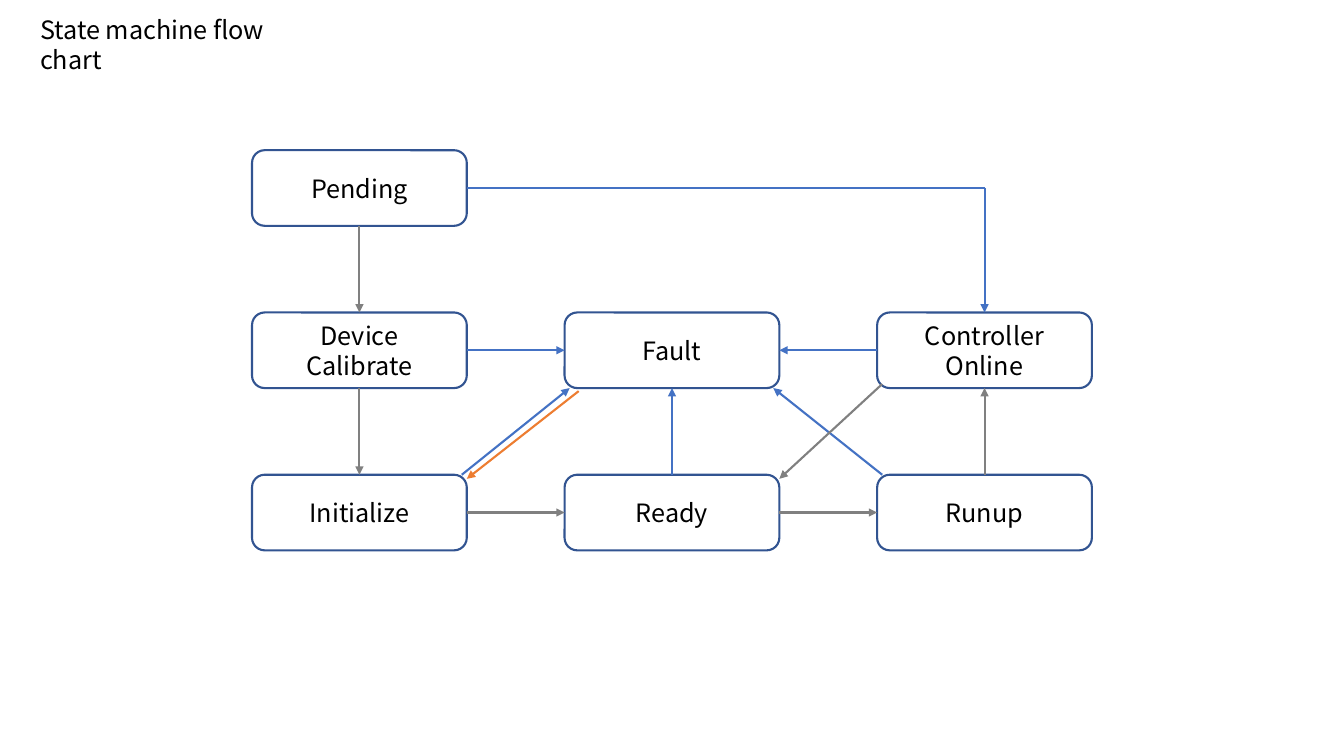
from lxml.etree import SubElement
from pptx import Presentation
from pptx.dml.color import RGBColor
from pptx.enum.shapes import MSO_CONNECTOR, MSO_SHAPE
from pptx.enum.text import MSO_ANCHOR, PP_ALIGN
from pptx.oxml.ns import qn
from pptx.util import Pt

EMU_PER_PX = 9144
STATE_WIDTH, STATE_HEIGHT = 213, 75
TOP, LEFT, BOTTOM, RIGHT = range(4)
BLACK, NAVY, GRAY, BLUE, ORANGE = "000000", "325491", "808080", "4472C4", "ED7D31"
FONT_FORMAT = {"name": "Noto Sans CJK SC", "size": Pt(18)}
TITLE_FORMAT = {"word_wrap": True, "vertical_anchor": MSO_ANCHOR.TOP}
STATE_FORMAT = {"word_wrap": True, "vertical_anchor": MSO_ANCHOR.MIDDLE}

STATES = {
    "Pending": (0, 0),
    "Initialize": (0, 2),
    "Device Calibrate": (0, 1),
    "Ready": (1, 2),
    "Runup": (2, 2),
    "Controller Online": (2, 1),
    "Fault": (1, 1),
}
STRAIGHT_TRANSITIONS = [
    ("Pending", BOTTOM, "Device Calibrate", TOP, GRAY),
    ("Device Calibrate", BOTTOM, "Initialize", TOP, GRAY),
    ("Initialize", RIGHT, "Ready", LEFT, GRAY),
    ("Ready", RIGHT, "Runup", LEFT, GRAY),
    ("Runup", TOP, "Controller Online", BOTTOM, GRAY),
    ("Ready", TOP, "Fault", BOTTOM, BLUE),
    ("Device Calibrate", RIGHT, "Fault", LEFT, BLUE),
    ("Controller Online", LEFT, "Fault", RIGHT, BLUE),
]
CORNER_TRANSITIONS = [
    (("Initialize", RIGHT, TOP, -5, 0), ("Fault", LEFT, BOTTOM, 5, 0), BLUE),
    (("Runup", LEFT, TOP, 5, 0), ("Fault", RIGHT, BOTTOM, -6, 0), BLUE),
    (("Fault", LEFT, BOTTOM, 14, 3), ("Initialize", RIGHT, TOP, 0, 4), ORANGE),
    (("Controller Online", LEFT, BOTTOM, 5, -4), ("Ready", RIGHT, TOP, 0, 4), GRAY),
]


def px(length):
    """Turn pixels into EMU."""
    return round(length * EMU_PER_PX)


def color(hex_code):
    """Turn a hex string into a colour."""
    return RGBColor.from_string(hex_code)


def apply_format(target, values):
    """Set each named attribute of the target."""
    for attribute, value in values.items():
        setattr(target, attribute, value)


def write_text(frame, wording, frame_format, alignment):
    """Fill a text frame with one formatted paragraph."""
    apply_format(frame, frame_format)
    paragraph = frame.paragraphs[0]
    paragraph.alignment = alignment
    run = paragraph.add_run()
    run.text = wording
    apply_format(run.font, FONT_FORMAT)
    run.font.color.rgb = color(BLACK)


def add_title(slide, box):
    """Place the slide title in the given box."""
    title = slide.shapes.add_textbox(*map(px, box))
    write_text(title.text_frame, "State machine flow chart", TITLE_FORMAT, PP_ALIGN.LEFT)


def add_state(slide, label, left, top):
    """Draw one rounded state box."""
    state = slide.shapes.add_shape(
        MSO_SHAPE.ROUNDED_RECTANGLE, px(left), px(top), px(STATE_WIDTH), px(STATE_HEIGHT)
    )
    state.shadow.inherit = False
    state.fill.background()
    state.line.color.rgb = color(NAVY)
    state.line.width = Pt(1.5)
    write_text(state.text_frame, label, STATE_FORMAT, PP_ALIGN.CENTER)
    return state


def add_transition(slide, start, end, hex_code, arrow=True):
    """Draw a line between two points in EMU, with an arrowhead at its end."""
    transition = slide.shapes.add_connector(MSO_CONNECTOR.STRAIGHT, *start, *end)
    transition.line.color.rgb = color(hex_code)
    transition.line.width = Pt(1.5)
    if arrow:
        SubElement(transition.line._get_or_add_ln(), qn("a:tailEnd"), type="triangle")
    SubElement(transition._element.spPr, qn("a:effectLst"))
    return transition


def side_middle(state, side):
    """Find the middle of one side of a state."""
    center_x, center_y = state.left + state.width // 2, state.top + state.height // 2
    return {
        TOP: (center_x, state.top),
        LEFT: (state.left, center_y),
        BOTTOM: (center_x, state.top + state.height),
        RIGHT: (state.left + state.width, center_y),
    }[side]


def near_corner(state, side, edge, shift_x, shift_y):
    """Find a point shifted from one corner of a state."""
    return side_middle(state, side)[0] + px(shift_x), side_middle(state, edge)[1] + px(shift_y)


def add_flow_chart(slide, box):
    """Lay the states on a three by three grid and link them."""
    left, top, width, height = box
    column_pitch = (width - STATE_WIDTH) / 2
    row_pitch = (height - STATE_HEIGHT) / 2
    states = {
        label: add_state(slide, label, left + column * column_pitch, top + row * row_pitch)
        for label, (column, row) in STATES.items()
    }

    for source, exit_side, target, entry_side, hex_code in STRAIGHT_TRANSITIONS:
        start = side_middle(states[source], exit_side)
        end = side_middle(states[target], entry_side)
        transition = add_transition(slide, start, end, hex_code)
        transition.begin_connect(states[source], exit_side)
        transition.end_connect(states[target], entry_side)

    for (source, *exit_corner), (target, *entry_corner), hex_code in CORNER_TRANSITIONS:
        start = near_corner(states[source], *exit_corner)
        end = near_corner(states[target], *entry_corner)
        add_transition(slide, start, end, hex_code)

    pending, controller = states["Pending"], states["Controller Online"]
    start, end = side_middle(pending, RIGHT), side_middle(controller, TOP)
    bend = end[0], start[1]
    add_transition(slide, start, bend, BLUE, arrow=False).begin_connect(pending, RIGHT)
    add_transition(slide, bend, end, BLUE).end_connect(controller, TOP)


def main():
    """Build and save the slide."""
    presentation = Presentation()
    apply_format(presentation, {"slide_width": px(1333), "slide_height": px(750)})
    slide = presentation.slides.add_slide(presentation.slide_layouts[6])
    add_title(slide, (30, 9, 287, 40))
    add_flow_chart(slide, (250, 149, 833, 397))
    presentation.save("out.pptx")


if __name__ == "__main__":
    main()
